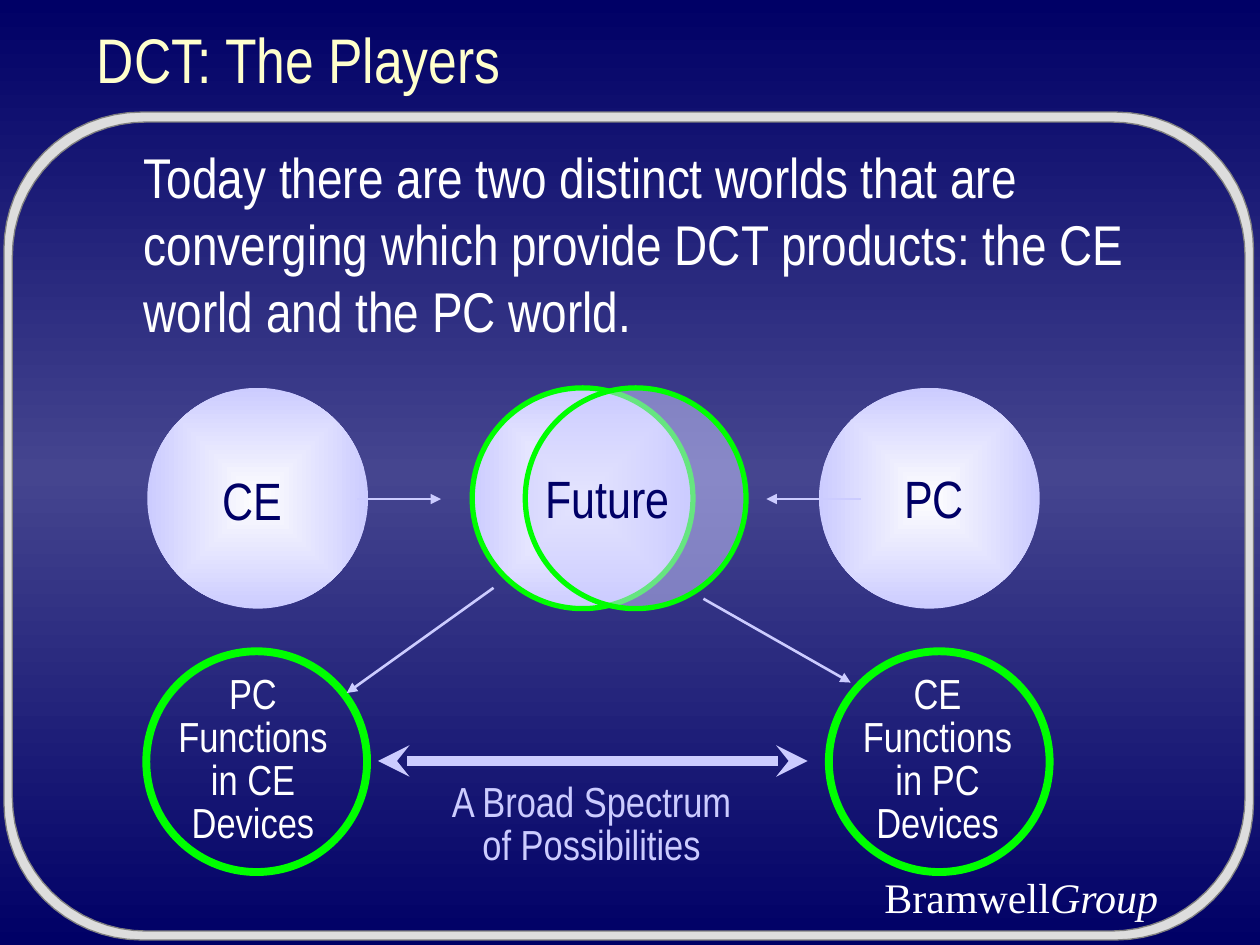
import math
from dataclasses import dataclass
from typing import Optional

from lxml import etree
from pptx import Presentation
from pptx.dml.color import RGBColor
from pptx.enum import shapes, text
from pptx.oxml import ns
from pptx.util import Cm, Pt

COLORS = {
    "navy": "000066", "violet": "45458F", "lavender": "CCCCFF", "pearl": "FEFEFE",
    "green": "00FF00", "white": "FFFFFF", "cream": "FFFFCC",
    "frame": "DDDDDD", "frame_edge": "808080",
}
SANS, SERIF = "Arial Narrow", "Times New Roman"
DIAMETER = 4.45
WORLDS_TOP, DEVICES_TOP = 7.82, 13.13
FLOW_Y, SPECTRUM_Y = 10.06, 15.34


@dataclass
class Disc:
    left: float
    top: float
    fill: Optional[str] = None  # "glow", "veil" or None
    outline: float = 0


@dataclass
class Arrow:
    start: tuple[float, float]
    end: tuple[float, float]
    width: float = 1.5
    head: Optional[str] = None
    tail: str = "triangle"


@dataclass
class Label:
    words: str
    box: tuple[float, float, float, float]
    size: float = 24
    color: str = "white"
    spacing: float = 0.85


DISCS = [
    Disc(2.97, WORLDS_TOP, "glow"),
    Disc(16.51, WORLDS_TOP, "glow"),
    Disc(9.52, WORLDS_TOP, "glow", 3),
    Disc(10.59, WORLDS_TOP, "veil", 3),
    Disc(2.95, DEVICES_TOP, outline=4.5),
    Disc(16.71, DEVICES_TOP, outline=4.5),
]
ARROWS = [
    Arrow((7.62, SPECTRUM_Y), (16.28, SPECTRUM_Y), 6, "stealth", "stealth"),
    Arrow((7.2, FLOW_Y), (8.89, FLOW_Y)),
    Arrow((17.35, FLOW_Y), (15.45, FLOW_Y)),
    Arrow((9.95, 11.85), (6.99, 13.97)),
    Arrow((14.18, 12.07), (17.15, 13.76)),
]
LABELS = [
    Label("CE", (4.19, 9.31, 1.8, 1.52), 30, "navy", 1),
    Label("Future", (10.69, 9.27, 3.12, 1.52), 30, "navy", 1),
    Label("PC", (17.93, 9.27, 1.8, 1.52), 30, "navy", 1),
    Label("PC\nFunctions\nin CE\nDevices", (3.25, 13.49, 3.7, 3.71)),
    Label("CE\nFunctions\nin PC\nDevices", (17.05, 13.49, 3.7, 3.71)),
    Label("A Broad Spectrum\nof Possibilities", (8.79, 15.67, 6.27, 1.98), color="lavender"),
]


def rgb(name: str) -> RGBColor:
    return RGBColor.from_string(COLORS[name])


def add_xml(parent, tag: str, **attributes):
    return etree.SubElement(parent, ns.qn(tag), attributes)


def set_gradient(element, stops: list[tuple[int, str]], from_center: bool) -> None:
    """Rewrite the gradient already in element with these (percent, colour) stops."""
    gradient = element.find(".//" + ns.qn("a:gradFill"))
    for child in list(gradient):
        gradient.remove(child)
    stop_list = add_xml(gradient, "a:gsLst")
    for percent, color in stops:
        stop = add_xml(stop_list, "a:gs", pos=str(percent * 1000))
        add_xml(stop, "a:srgbClr", val=COLORS[color])
    if from_center:
        spread = add_xml(gradient, "a:path", path="rect")
        add_xml(spread, "a:fillToRect", l="50000", t="50000", r="50000", b="50000")
    else:
        add_xml(gradient, "a:lin", ang="5400000", scaled="0")


def write(frame, words: str, *, size: float, color: str, font: str = SANS,
          align=text.PP_ALIGN.LEFT, spacing: Optional[float] = None,
          wrap: bool = False, italic_end: str = "", indent: float = 0) -> None:
    """Fill a text frame; an unwrapped one grows to hold its lines."""
    frame.word_wrap = wrap
    frame.auto_size = text.MSO_AUTO_SIZE.NONE if wrap else text.MSO_AUTO_SIZE.SHAPE_TO_FIT_TEXT
    paragraph = frame.paragraphs[0]
    paragraph.text = words
    if italic_end:
        ending = paragraph.add_run()
        ending.text = italic_end
        ending.font.italic = True
    paragraph.alignment = align
    if spacing:
        paragraph.line_spacing = spacing
    if indent:
        paragraph._p.get_or_add_pPr().set("marL", str(Cm(indent)))
    for run in paragraph.runs:
        run.font.name, run.font.size = font, Pt(size)
        run.font.color.rgb = rgb(color)


def add_text(slide, box: tuple[float, float, float, float], words: str, **style) -> None:
    write(slide.shapes.add_textbox(*map(Cm, box)).text_frame, words, **style)


def rounded_outline(left: float, top: float, right: float, bottom: float,
                    radius: float, steps: int = 16) -> list[tuple[int, int]]:
    centers = [(right - radius, bottom - radius), (left + radius, bottom - radius),
               (left + radius, top + radius), (right - radius, top + radius)]
    points = []
    for quarter, (x, y) in enumerate(centers):
        for step in range(steps + 1):
            angle = math.pi / 2 * (quarter + step / steps)
            points.append((Cm(x + radius * math.cos(angle)), Cm(y + radius * math.sin(angle))))
    return points


def add_frame(slide) -> None:
    outer = rounded_outline(0.08, 2.26, 25.27, 18.95, 2.77)
    inner = rounded_outline(0.25, 2.46, 25.1, 18.77, 2.7)
    builder = slide.shapes.build_freeform(*outer[0])
    builder.add_line_segments(outer[1:], close=True)
    builder.move_to(*inner[0])
    builder.add_line_segments(inner[1:], close=True)
    frame = builder.convert_to_shape()
    frame.shadow.inherit = False
    frame.fill.solid()
    frame.fill.fore_color.rgb = rgb("frame")
    frame.line.color.rgb = rgb("frame_edge")
    frame.line.width = Pt(0.75)


def add_disc(slide, disc: Disc) -> None:
    circle = slide.shapes.add_shape(shapes.MSO_SHAPE.OVAL, Cm(disc.left), Cm(disc.top),
                                    Cm(DIAMETER), Cm(DIAMETER))
    circle.shadow.inherit = False
    if disc.fill == "glow":
        circle.fill.gradient()
        set_gradient(circle.element, [(0, "pearl"), (100, "lavender")], True)
    elif disc.fill == "veil":
        circle.fill.solid()
        circle.fill.fore_color.rgb = rgb("lavender")
        tint = circle.element.spPr.find(".//" + ns.qn("a:srgbClr"))
        add_xml(tint, "a:alpha", val="50000")
    else:
        circle.fill.background()
    if disc.outline:
        circle.line.color.rgb = rgb("green")
        circle.line.width = Pt(disc.outline)
    else:
        circle.line.fill.background()


def add_arrow(slide, arrow: Arrow) -> None:
    connector = slide.shapes.add_connector(shapes.MSO_CONNECTOR.STRAIGHT,
                                           *map(Cm, arrow.start + arrow.end))
    connector.line.color.rgb = rgb("lavender")
    connector.line.width = Pt(arrow.width)
    outline = connector.line._get_or_add_ln()
    if arrow.head:
        add_xml(outline, "a:headEnd", type=arrow.head)
    add_xml(outline, "a:tailEnd", type=arrow.tail)
    add_xml(connector.element.spPr, "a:effectLst")


def main() -> None:
    deck = Presentation()
    deck.slide_width, deck.slide_height = Cm(25.4), Cm(19.05)
    slide = deck.slides.add_slide(deck.slide_layouts[5])
    slide.background.fill.gradient()
    set_gradient(slide.element, [(0, "navy"), (50, "violet"), (100, "navy")], False)

    add_frame(slide)
    add_text(slide, (17.58, 17.45, 6.1, 1.27), "Bramwell", italic_end="Group",
             size=24, color="white", font=SERIF)

    title = slide.shapes.title
    title.left, title.top, title.width, title.height = map(Cm, (1.7, 0, 22.23, 2.34))
    title.text_frame.vertical_anchor = text.MSO_ANCHOR.MIDDLE
    write(title.text_frame, "DCT: The Players", size=36, color="cream", wrap=True)
    add_text(slide, (1.7, 2.74, 21.59, 11.43),
             "Today there are two distinct worlds that are converging which provide "
             "DCT products: the CE world and the PC world.",
             size=32, color="white", wrap=True, indent=0.95)

    for disc in DISCS:
        add_disc(slide, disc)
    for arrow in ARROWS:
        add_arrow(slide, arrow)
    for label in LABELS:
        add_text(slide, label.box, label.words, size=label.size, color=label.color,
                 align=text.PP_ALIGN.CENTER, spacing=label.spacing)
    deck.save("out.pptx")


if __name__ == "__main__":
    main()
